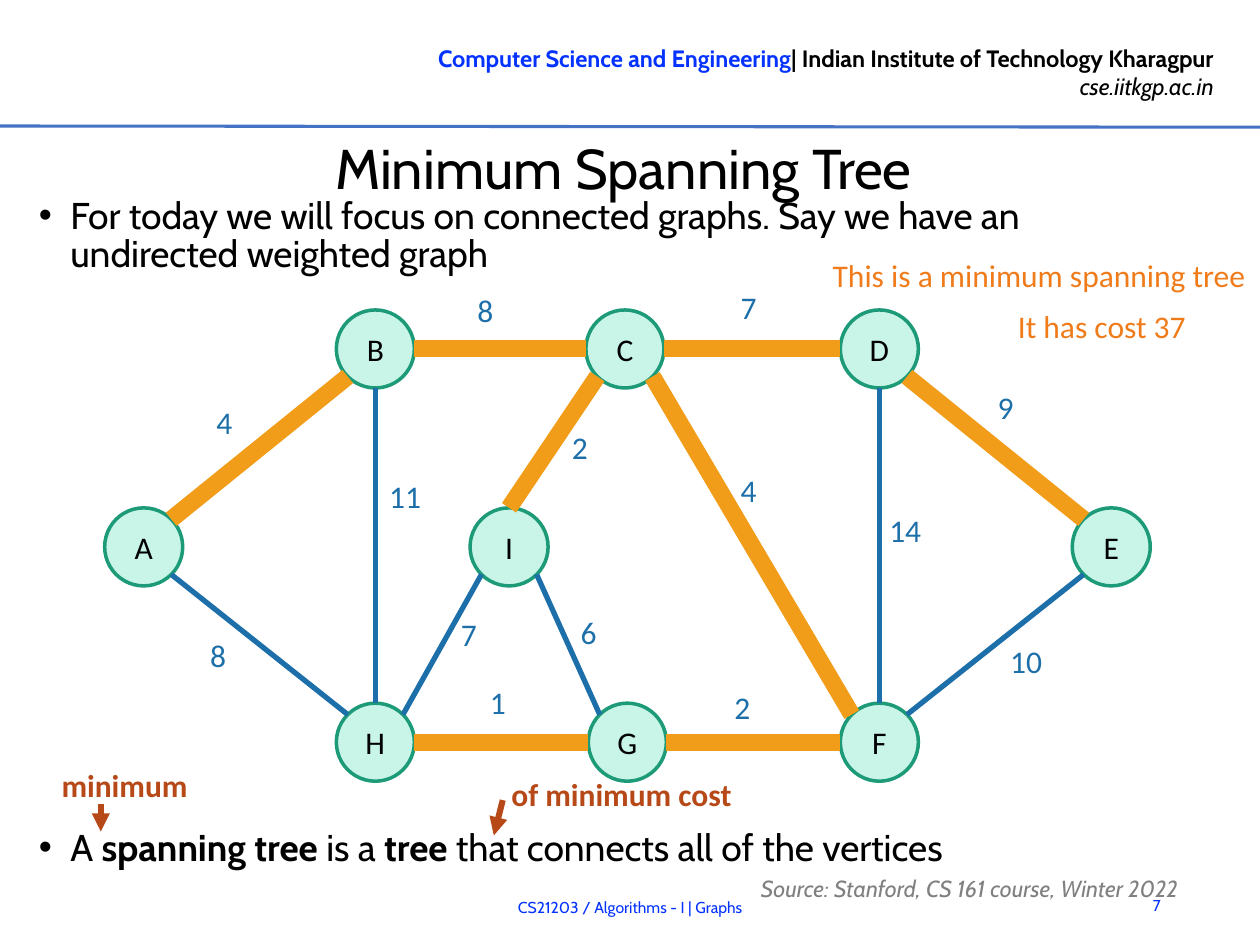
from math import hypot

from lxml import etree
from pptx import Presentation
from pptx.dml.color import RGBColor
from pptx.enum import shapes, text
from pptx.oxml.ns import qn
from pptx.util import Pt

ALIGN, ANCHOR = text.PP_ALIGN, text.MSO_ANCHOR
BLACK, BLUE, GRAY = "000000", "0432FF", "808080"
EDGE, TREE, NOTE, RUST = "1D6FA9", "F19D19", "F07B1A", "B74919"
DIAMETER = 44.6

# Node centres: three rows
TOP, MIDDLE, BOTTOM = 199.4, 312.5, 424.1
NODES = {
    "A": (82.1, MIDDLE), "B": (214.5, TOP), "C": (357.1, TOP),
    "D": (502.5, TOP), "E": (635, MIDDLE), "F": (502.5, BOTTOM),
    "G": (358.5, BOTTOM), "H": (214.5, BOTTOM), "I": (290.9, MIDDLE),
}
COMPASS = {
    "N": (0, -1), "NE": (1, -1), "E": (1, 0), "SE": (1, 1),
    "S": (0, 1), "SW": (-1, 1), "W": (-1, 0), "NW": (-1, -1),
}
# Start node and side, end node and side, weight, label position, in tree
EDGES = [
    ("A", "NE", "B", "SW", 4, (116.6, 226.8), True),
    ("B", "E", "C", "W", 8, (265.7, 162.7), True),
    ("C", "E", "D", "W", 7, (416.2, 161.3), True),
    ("D", "SE", "E", "NW", 9, (563, 218.2), True),
    ("C", "SW", "I", "N", 2, (319.7, 241.2), True),
    ("C", "SE", "F", "NW", 4, (416.2, 265.7), True),
    ("H", "E", "G", "W", 1, (272.9, 386.6), True),
    ("G", "E", "F", "W", 2, (412.6, 389.5), True),
    ("A", "SE", "H", "NW", 8, (113, 360), False),
    ("B", "S", "H", "N", 11, (215.3, 269.3), False),
    ("I", "SW", "H", "NE", 7, (256.3, 347.8), False),
    ("I", "SE", "G", "NW", 6, (324.7, 347), False),
    ("D", "S", "F", "N", 14, (501.1, 288.7), False),
    ("E", "SW", "F", "NE", 10, (570.2, 363.6), False),
]


def color(value):
    return RGBColor.from_string(value)


def format_font(font, size, value=BLACK, name="Cabin", bold=False, italic=False):
    font.size, font.name = Pt(size), name
    font.bold, font.italic = bold, italic
    font.color.rgb = color(value)


def add_text(page, words, left, top, width, height, size, value,
             name="Cabin", align=ALIGN.LEFT, anchor=ANCHOR.TOP, **style):
    box = page.shapes.add_textbox(Pt(left), Pt(top), Pt(width), Pt(height))
    frame = box.text_frame
    frame.word_wrap = True
    frame.vertical_anchor = anchor
    frame.text = words
    for para in frame.paragraphs:
        para.alignment = align
        for span in para.runs:
            format_font(span.font, size, value, name, **style)
    return box


def add_bullet(page, top, height, spans):
    """One bulleted paragraph from (words, bold) spans."""
    box = page.shapes.add_textbox(Pt(15.1), Pt(top), Pt(674.6), Pt(height))
    box.text_frame.word_wrap = True
    para = box.text_frame.paragraphs[0]
    properties = para._p.get_or_add_pPr()
    properties.set("marL", str(Pt(18)))
    properties.set("indent", str(-Pt(18)))
    etree.SubElement(properties, qn("a:buFont"), typeface="Arial")
    etree.SubElement(properties, qn("a:buChar"), char="•")
    para.line_spacing = Pt(21.6)
    for words, bold in spans:
        span = para.add_run()
        span.text = words
        format_font(span.font, 21.3, bold=bold)


def add_line(page, start, end, value, width, arrow=False):
    line = page.shapes.add_connector(
        shapes.MSO_CONNECTOR.STRAIGHT, *map(Pt, (*start, *end)))
    line.line.color.rgb = color(value)
    line.line.width = Pt(width)
    if arrow:
        etree.SubElement(line.line._get_or_add_ln(), qn("a:tailEnd"), type="triangle")
    etree.SubElement(line._element.spPr, qn("a:effectLst"))


def add_node(page, name, center):
    left, top = (value - DIAMETER / 2 for value in center)
    node = page.shapes.add_shape(
        shapes.MSO_SHAPE.OVAL, Pt(left), Pt(top), Pt(DIAMETER), Pt(DIAMETER))
    node.shadow.inherit = False
    node.fill.solid()
    node.fill.fore_color.rgb = color("C8F5E8")
    node.line.color.rgb = color("1D9A78")
    node.line.width = Pt(2)
    frame = node.text_frame
    frame.vertical_anchor = ANCHOR.MIDDLE
    frame.text = name
    para = frame.paragraphs[0]
    para.alignment = ALIGN.CENTER
    format_font(para.runs[0].font, 18, name="Calibri")


def rim_point(name, side):
    """Point on a node's circle in a compass direction."""
    x, y = NODES[name]
    dx, dy = COMPASS[side]
    scale = DIAMETER / 2 / hypot(dx, dy)
    return x + dx * scale, y + dy * scale


def add_header(page):
    box = add_text(
        page, "Computer Science and Engineering| Indian Institute of Technology Kharagpur"
        "\ncse.iitkgp.ac.in", 190.8, 21.6, 509.8, 40.3, 13.5, BLACK, align=ALIGN.RIGHT)
    first, second = box.text_frame.paragraphs
    department, institute = first.runs[0].text.split("|")
    first.runs[0].text = department
    format_font(first.runs[0].font, 13.5, BLUE, bold=True)
    span = first.add_run()
    span.text = "|" + institute
    format_font(span.font, 13.5, bold=True)
    second.runs[0].font.italic = True
    add_line(page, (0, 72), (720, 72.7), "4472C4", 1.75)


def add_title(page):
    title = page.shapes.title
    title.left, title.top, title.width, title.height = map(Pt, (23, 75.6, 666.7, 39.6))
    frame = title.text_frame
    frame.margin_left = frame.margin_right = frame.margin_bottom = 0
    frame.margin_top = Pt(0.7)
    frame.vertical_anchor = ANCHOR.MIDDLE
    frame.auto_size = text.MSO_AUTO_SIZE.NONE
    frame.text = "Minimum Spanning Tree"
    para = frame.paragraphs[0]
    para.alignment = ALIGN.CENTER
    format_font(para.runs[0].font, 32)


def add_graph(page):
    for name, center in NODES.items():
        add_node(page, name, center)
    for start, start_side, end, end_side, weight, label, in_tree in EDGES:
        value, width = (TREE, 9.75) if in_tree else (EDGE, 3)
        add_line(page, rim_point(start, start_side), rim_point(end, end_side), value, width)
        add_text(page, str(weight), *label, 61.9, 36, 18, EDGE, "Calibri")


def add_notes_on_graph(page):
    for words, left, top, width, value, bold in (
        ("This is a minimum spanning tree", 468.7, 142.6, 251.3, NOTE, False),
        ("It has cost 37", 574.6, 172.1, 120.2, NOTE, False),
        ("minimum", 28.1, 434.2, 115.2, RUST, True),
        ("of minimum cost", 285.1, 439.2, 193.7, RUST, True),
    ):
        add_text(page, words, left, top, width, 28.8, 18, value, "Calibri", bold=bold)
    for start, end in (((57.6, 459.4), (57.6, 475.2)), ((287.3, 457.2), (282.2, 477.4))):
        add_line(page, start, end, RUST, 3.5, arrow=True)


def add_footer(page):
    add_text(page, "CS21203 / Algorithms - I | Graphs", 118.8, 504, 482.4, 28.8,
             9, BLUE, align=ALIGN.CENTER, anchor=ANCHOR.MIDDLE)
    add_text(page, "7", 635, 502.6, 35.3, 28.8,
             9, BLUE, align=ALIGN.RIGHT, anchor=ANCHOR.MIDDLE)
    source = add_text(page, "Source: Stanford, CS 161 course, Winter 2022",
                      427.7, 496.8, 289.4, 16.6, 13.3, GRAY,
                      anchor=ANCHOR.MIDDLE, italic=True)
    source.text_frame.paragraphs[0].line_spacing = Pt(21.3)


def main():
    deck = Presentation()
    deck.slide_width, deck.slide_height = Pt(720), Pt(540)
    page = deck.slides.add_slide(deck.slide_layouts[5])
    add_header(page)
    add_title(page)
    # Definitions above and below the graph
    add_bullet(page, 110.2, 50.4, [(
        "For today we will focus on connected graphs. "
        "Say we have an undirected weighted graph", False)])
    add_bullet(page, 471.3, 28.8, [
        ("A ", False), ("spanning tree", True), (" is a ", False),
        ("tree", True), (" that connects all of the vertices", False)])
    add_footer(page)
    add_notes_on_graph(page)
    add_graph(page)
    deck.save("out.pptx")


if __name__ == "__main__":
    main()
